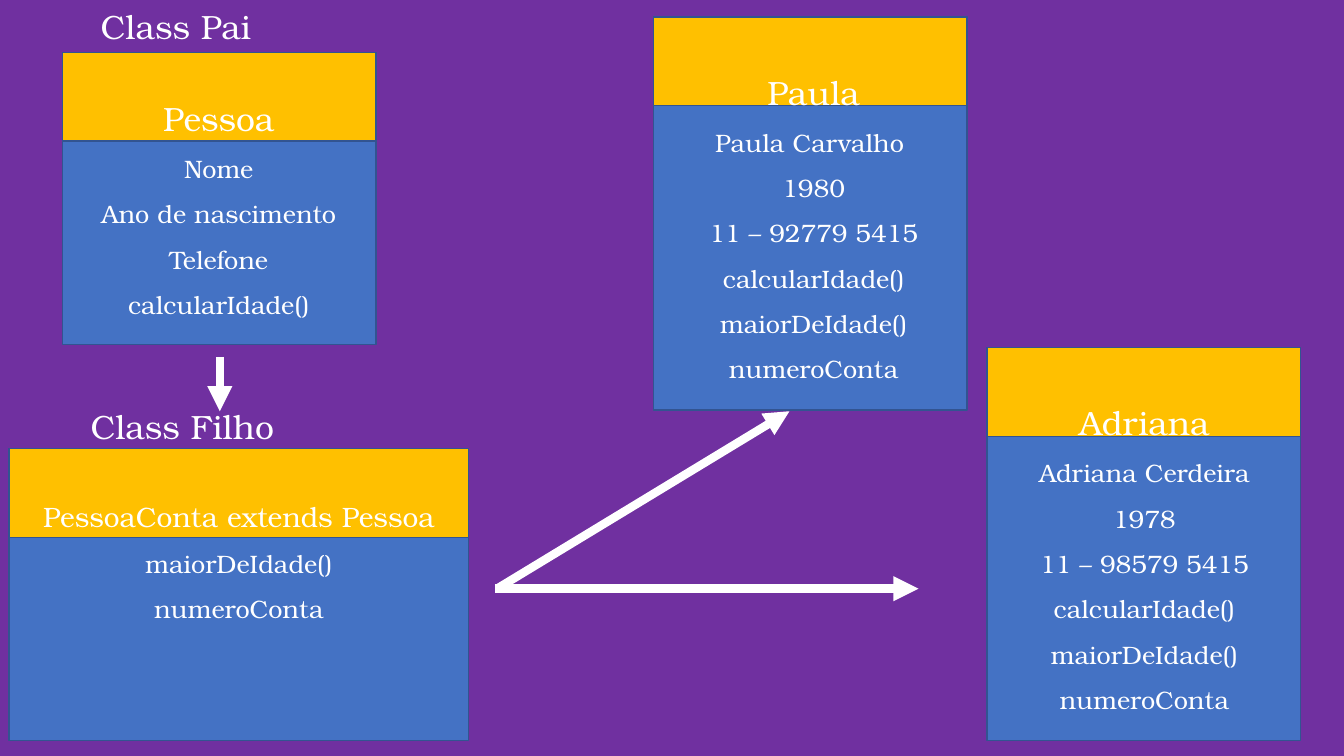
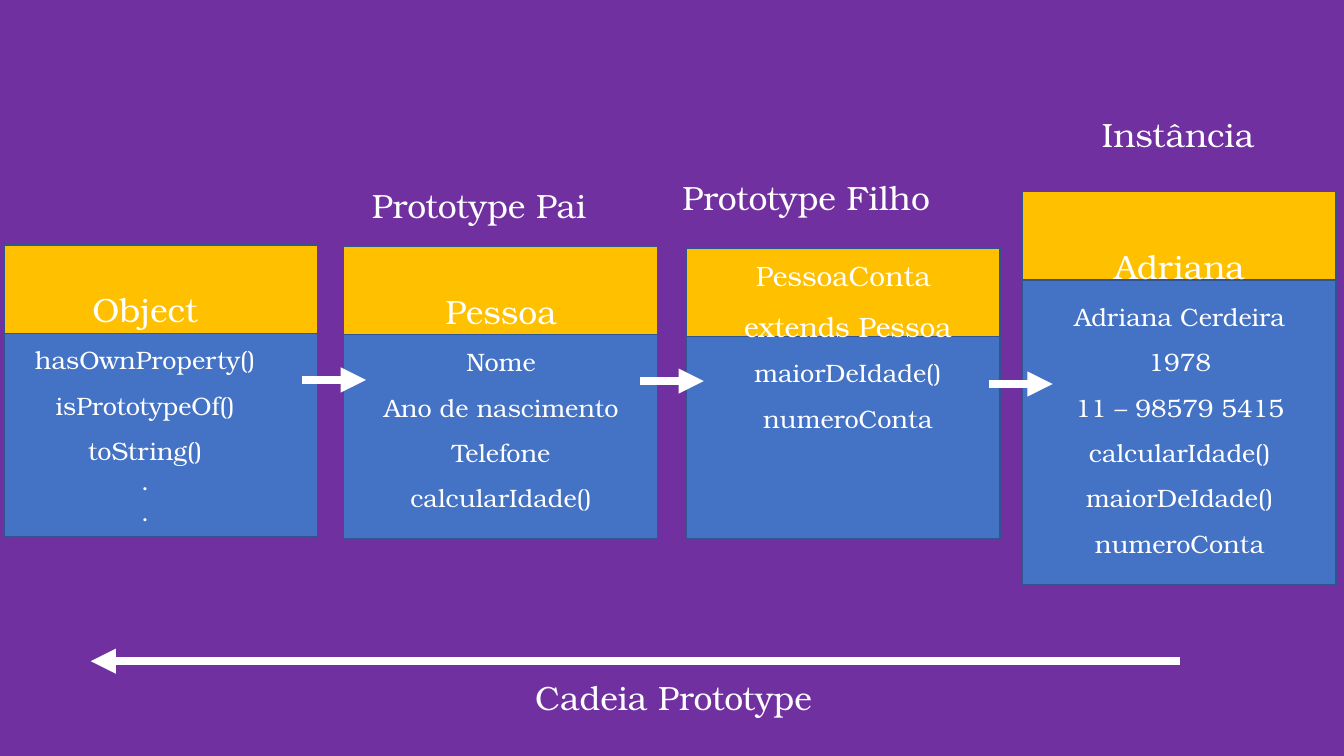
"""Builds two slides on class inheritance and the prototype chain."""
import pptx
import pptx.dml.color
import pptx.enum.shapes
import pptx.enum.text
import pptx.oxml
import pptx.oxml.ns
import pptx.util
from pptx.util import Inches

PURPLE, BLUE, GOLD, EDGE, WHITE = "7030A0", "4472C4", "FFC000", "325491", "FFFFFF"
FONT = "TeX Gyre Bonum"
CARD_WIDTH, TEXT_WIDTH, HEADER_HEIGHT = 3.11, 3.62, 0.88


def paint(color_format, color):
    color_format.rgb = pptx.dml.color.RGBColor.from_string(color)


def add_text(shapes, at, lines, wrap=True, centered=True):
    box = shapes.add_textbox(*map(Inches, at))
    frame = box.text_frame
    frame.word_wrap = wrap
    frame.auto_size = pptx.enum.text.MSO_AUTO_SIZE.SHAPE_TO_FIT_TEXT
    for index, (text, size, spacing) in enumerate(lines):
        para = frame.add_paragraph() if index else frame.paragraphs[0]
        para.line_spacing = spacing
        if centered:
            para.alignment = pptx.enum.text.PP_ALIGN.CENTER
        span = para.add_run()
        span.text = text
        span.font.name = FONT
        span.font.size = pptx.util.Pt(size)
        paint(span.font.color, WHITE)


person = ["Nome", "Ano de nascimento", "Telefone", "calcularIdade()"]
account = ["maiorDeIdade()", "numeroConta"]
paula = ["Paula Carvalho ", "1980", "11 – 92779 5415", "calcularIdade()"] + account
adriana = ["Adriana Cerdeira", "1978", "11 – 98579 5415", "calcularIdade()"] + account
builtin = ["hasOwnProperty()", "isPrototypeOf()", "toString()", ".", "."]

# Cards: left, top, width, height; text left, top, width, height; heading lines, heading size, members
slides = [
    {
        "cards": [
            ((0.62, 0.52, CARD_WIDTH, 2.9), (0.36, 0.52, TEXT_WIDTH, 2.67), ["Pessoa"], 24, person),
            ((9.79, 3.45, CARD_WIDTH, 3.9), (9.54, 3.54, TEXT_WIDTH, 4.6), ["Adriana"], 24, adriana),
            ((6.48, 0.17, CARD_WIDTH, 3.9), (6.26, 0.26, TEXT_WIDTH, 4.6), ["Paula"], 24, paula),
            ((0.09, 4.45, 4.56, 2.9), (0.09, 4.57, 4.56, 1.63),
             ["PessoaConta extends Pessoa"], 20, account),
        ],
        "labels": [("Class Pai", 0.9, 0.01, 1.7), ("Class Filho", 0.8, 3.98, 2.06)],
        "arrows": [(4.91, 5.84, 9.11, 5.84), (4.93, 5.84, 7.83, 4.08), (2.18, 3.54, 2.18, 4.08)],
    },
    {
        "cards": [
            ((3.41, 2.44, CARD_WIDTH, 2.9), (3.16, 2.44, TEXT_WIDTH, 2.67), ["Pessoa"], 24, person),
            ((10.14, 1.9, CARD_WIDTH, 3.9), (9.89, 1.99, TEXT_WIDTH, 4.6), ["Adriana"], 24, adriana),
            ((6.81, 2.46, CARD_WIDTH, 2.88), (6.13, 2.35, 4.56, 1.97),
             ["PessoaConta ", "extends Pessoa"], 20, account),
            ((0.04, 2.43, CARD_WIDTH, 2.9), (-0.37, 2.42, TEXT_WIDTH, 3.18), ["Object"], 24, builtin),
        ],
        "labels": [("Prototype Pai", 3.59, 1.79, 2.54), ("Prototype Filho", 6.67, 1.71, 2.91),
                   ("Instância", 10.83, 1.08, 1.79), ("Cadeia Prototype", 5.21, 6.67, 3.15)],
        "arrows": [(9.81, 3.81, 10.44, 3.81), (6.35, 3.78, 6.98, 3.78),
                   (3, 3.77, 3.63, 3.77), (11.7, 6.56, 0.9, 6.56)],
    },
]

deck = pptx.Presentation()
deck.slide_width, deck.slide_height = Inches(13.33), Inches(7.5)
backdrop = deck.slide_master.background.fill
backdrop.solid()
paint(backdrop.fore_color, PURPLE)

for content in slides:
    page = deck.slides.add_slide(deck.slide_layouts[6])

    for (left, top, width, height), text_at, headings, heading_size, members in content["cards"]:
        card = page.shapes.add_group_shape()
        for color, part_height in ((BLUE, height), (GOLD, HEADER_HEIGHT)):
            panel = card.shapes.add_shape(
                pptx.enum.shapes.MSO_SHAPE.RECTANGLE,
                *map(Inches, (left, top, width, part_height)))
            panel.shadow.inherit = False
            panel.fill.solid()
            paint(panel.fill.fore_color, color)
            paint(panel.line.color, EDGE)
            panel.line.width = pptx.util.Pt(1)
        heading_spacing = 2.0 if len(headings) == 1 else 1.5
        lines = [(heading, heading_size, heading_spacing) for heading in headings]
        lines += [(member, 18, 1.0 if member == "." else 1.5) for member in members]
        add_text(card.shapes, text_at, lines)

    for text, left, top, width in content["labels"]:
        add_text(page.shapes, (left, top, width, 0.5), [(text, 24, 1.0)], wrap=False, centered=False)

    for ends in content["arrows"]:
        arrow = page.shapes.add_connector(
            pptx.enum.shapes.MSO_CONNECTOR.STRAIGHT, *map(Inches, ends))
        paint(arrow.line.color, WHITE)
        arrow.line.width = pptx.util.Pt(6)
        outline = arrow.line._get_or_add_ln()
        outline.append(pptx.oxml.parse_xml(
            f'<a:tailEnd {pptx.oxml.ns.nsdecls("a")} type="triangle"/>'))
        outline.addnext(pptx.oxml.parse_xml(f'<a:effectLst {pptx.oxml.ns.nsdecls("a")}/>'))

deck.save("out.pptx")
